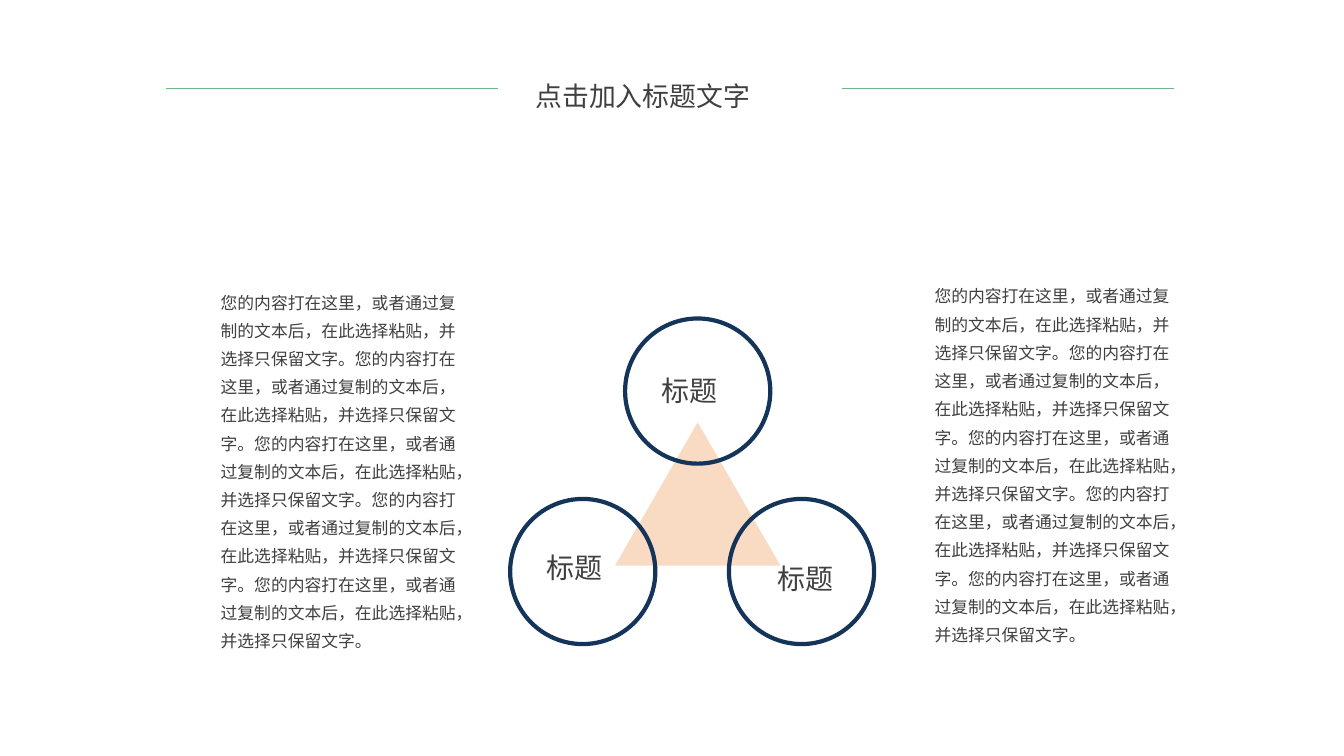
"""Build a slide with a triangle, three labelled circles and two text columns."""
from lxml.etree import SubElement
from pptx import Presentation
from pptx.dml.color import RGBColor
from pptx.enum.shapes import MSO_CONNECTOR, MSO_SHAPE
from pptx.enum.text import MSO_ANCHOR, MSO_AUTO_SIZE, PP_ALIGN
from pptx.oxml.ns import qn
from pptx.util import Inches, Pt

FONT = "Noto Sans CJK SC"
NAVY, PEACH, GREEN, GRAY = "14345A", "F9DAC2", "70B881", "404040"
SENTENCE = "您的内容打在这里，或者通过复制的文本后，在此选择粘贴，并选择只保留文字。"


def color(value):
    return RGBColor.from_string(value)


def write(box, text, size, wrap=True, spacing=1.0, inset=(0.1, 0.05), caps=None):
    frame = box.text_frame
    frame.word_wrap = wrap
    frame.auto_size = MSO_AUTO_SIZE.SHAPE_TO_FIT_TEXT
    frame.vertical_anchor = MSO_ANCHOR.TOP
    frame.margin_left = frame.margin_right = Inches(inset[0])
    frame.margin_top = frame.margin_bottom = Inches(inset[1])
    para = frame.paragraphs[0]
    para.alignment = PP_ALIGN.LEFT
    para.line_spacing = spacing
    span = para.add_run()
    span.text = text
    span.font.size = Pt(size)
    span.font.name = FONT
    span.font.color.rgb = color(GRAY)
    properties = span._r.get_or_add_rPr()
    SubElement(properties, qn("a:ea"), typeface=FONT)
    if caps:
        properties.set("cap", caps)


deck = Presentation()
deck.slide_width, deck.slide_height = Inches(13.33), Inches(7.5)
page = deck.slides.add_slide(deck.slide_layouts[5])
shapes = page.shapes

title = shapes.title
title.left, title.top = Inches(5.23), Inches(0.68)
title.width, title.height = Inches(3.44), Inches(0.48)
write(title, "点击加入标题文字", 24, inset=(0.08, 0.04), caps="small")

for left in (1.65, 8.35):
    rule = shapes.add_connector(
        MSO_CONNECTOR.STRAIGHT, Inches(left), Inches(0.88), Inches(left + 3.29), Inches(0.88)
    )
    rule.line.color.rgb = color(GREEN)
    rule.line.width = Pt(0.75)
    SubElement(rule._element.spPr, qn("a:effectLst"))

triangle = shapes.add_shape(
    MSO_SHAPE.ISOSCELES_TRIANGLE, Inches(6.1), Inches(4.19), Inches(1.64), Inches(1.42)
)
triangle.shadow.inherit = False
triangle.fill.solid()
triangle.fill.fore_color.rgb = color(PEACH)
triangle.line.fill.background()

for left, top in ((6.2, 3.16), (7.23, 4.95), (5.06, 4.95)):
    circle = shapes.add_shape(
        MSO_SHAPE.OVAL, Inches(left), Inches(top), Inches(1.44), Inches(1.44)
    )
    circle.shadow.inherit = False
    circle.fill.background()
    circle.line.color.rgb = color(NAVY)
    circle.line.width = Pt(3)

for left, top in ((9.17, 2.71), (2.09, 2.77)):
    column = shapes.add_textbox(Inches(left), Inches(top), Inches(2.58), Inches(3.78))
    write(column, SENTENCE * 5, 12, spacing=1.4)

for left, top in ((6.46, 3.66), (5.32, 5.41), (7.61, 5.52)):
    label = shapes.add_textbox(Inches(left), Inches(top), Inches(0.76), Inches(0.44))
    write(label, "标题", 20, wrap=False)

deck.save("out.pptx")
